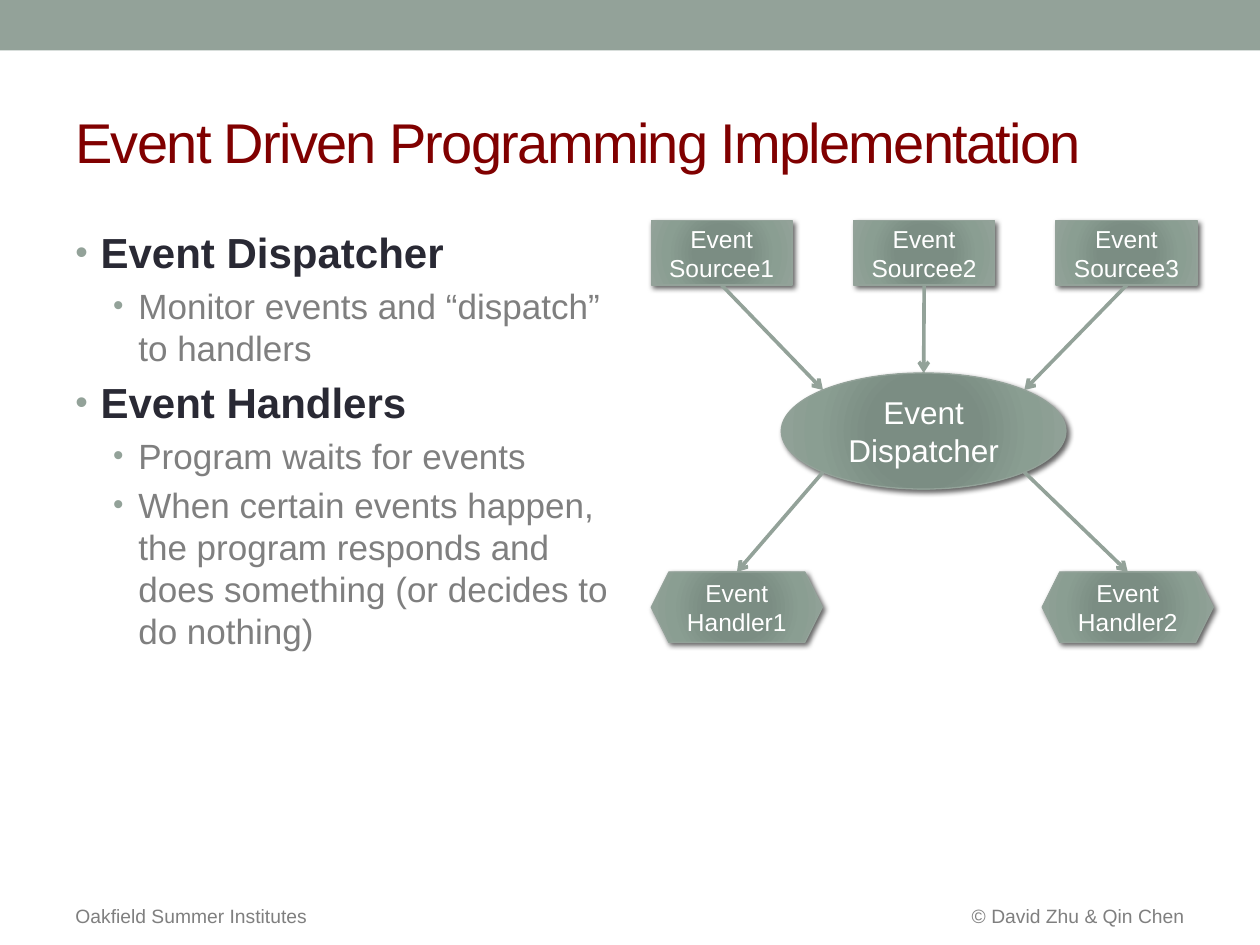
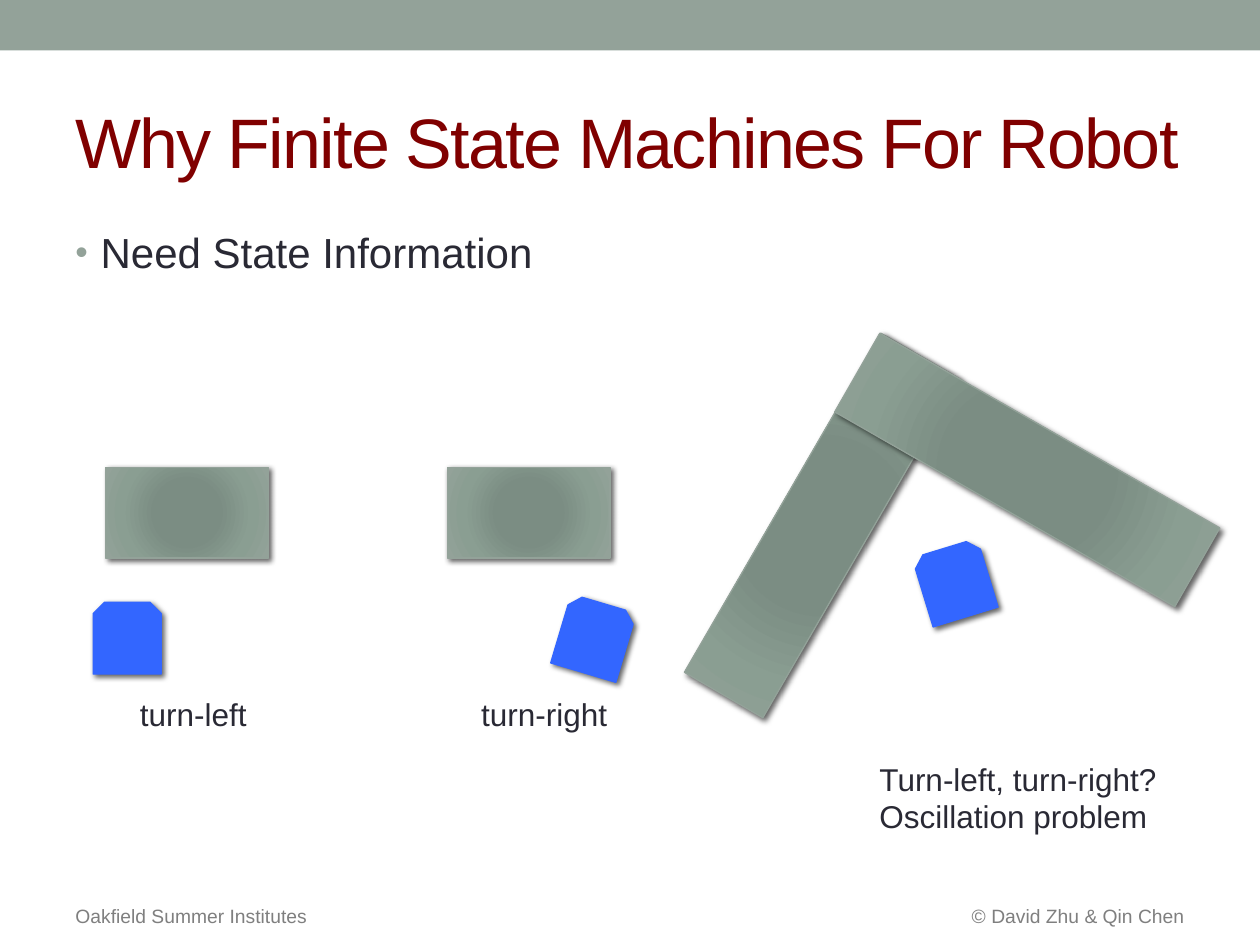
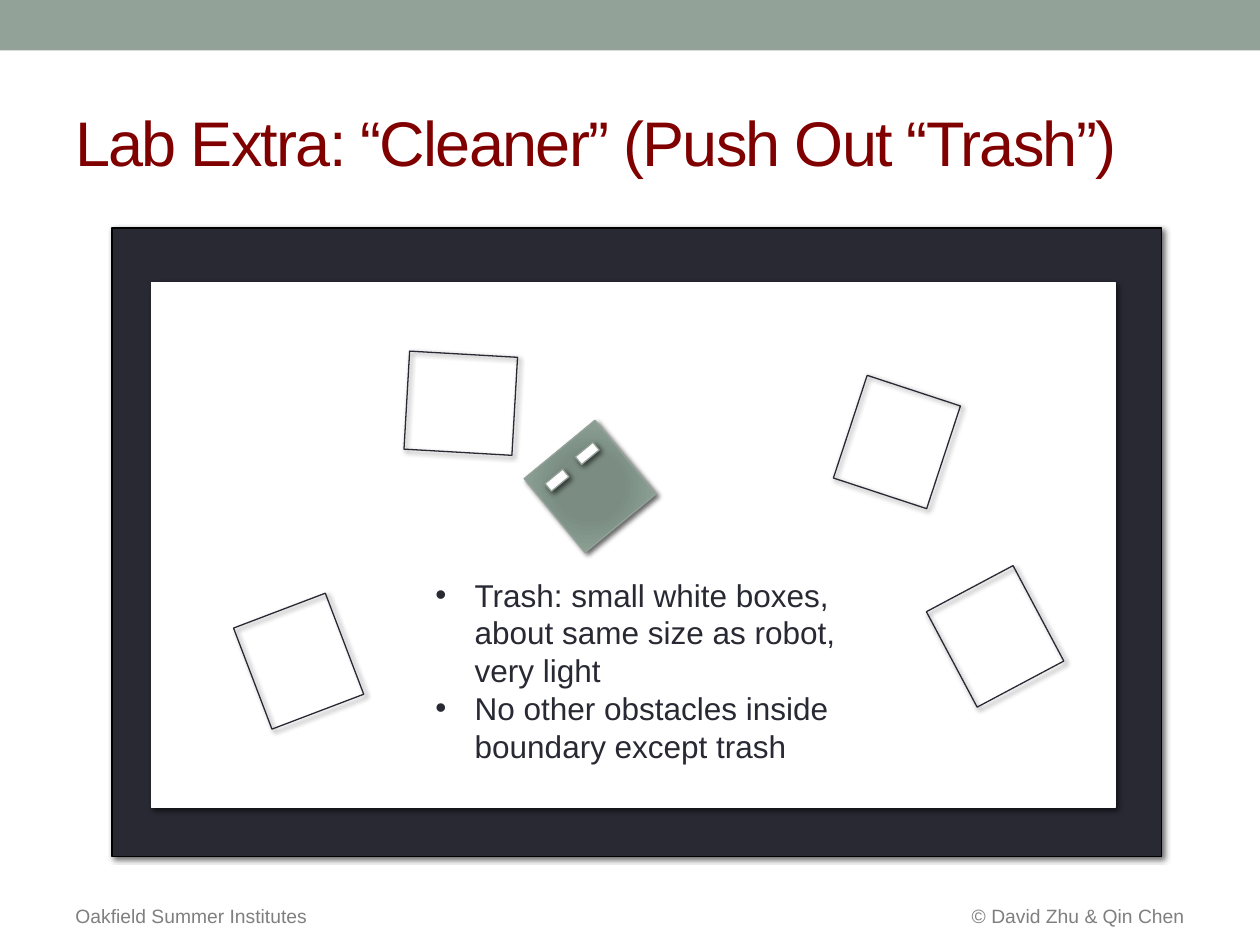
from dataclasses import dataclass
from math import cos, pi

from pptx import Presentation
from pptx.dml.color import RGBColor
from pptx.enum.shapes import MSO_CONNECTOR, MSO_SHAPE
from pptx.enum.text import MSO_ANCHOR, PP_ALIGN
from pptx.oxml import parse_xml
from pptx.oxml.ns import nsdecls, qn
from pptx.util import Cm, Pt

RECT, OVAL = MSO_SHAPE.RECTANGLE, MSO_SHAPE.OVAL
HEX, SNIP = MSO_SHAPE.HEXAGON, MSO_SHAPE.SNIP_2_SAME_RECTANGLE
LINE = MSO_CONNECTOR.STRAIGHT
TOP, MID, LOW = MSO_ANCHOR.TOP, MSO_ANCHOR.MIDDLE, MSO_ANCHOR.BOTTOM
LEFT, MIDX, RIGHT = PP_ALIGN.LEFT, PP_ALIGN.CENTER, PP_ALIGN.RIGHT


@dataclass(frozen=True)
class Theme:
    font: str = "Arial"
    sage: str = "93A299"
    ink: str = "292934"
    gray: str = "7F7F7F"
    white: str = "FFFFFF"
    black: str = "000000"
    wine: str = "800000"
    blue: str = "3366FF"
    stops: tuple = ((0, "7B8E82"), (34, "7B8D83"), (70, "8A9E92"), (100, "93A299"))
    foot: int = 11
    small: int = 14
    note: int = 18
    sub: int = 20
    head: int = 24
    edge: float = 0.75
    arrow: float = 2.08


@dataclass(frozen=True)
class Bullet:
    left: float
    hang: float
    color: str = ""
    gap: int = 0
    scale: int = 100


T = Theme()
OUTER = Bullet(0.51, 0.51, T.sage, 20, 85)
INNER = Bullet(1.27, 0.51, T.sage, 20, 85)
PLAIN = Bullet(0.79, 0.79)
HEAD = dict(size=T.head, color=T.ink, bullet=OUTER)
BOLD = dict(HEAD, bold=True)
SUB = dict(size=T.sub, color=T.gray, bullet=INNER)
NOTE = dict(size=T.note, color=T.ink)


def put(thing, **values):
    for name, value in values.items():
        setattr(thing, name, value)


def xml(tag, attrs="", inner=""):
    return parse_xml(f"<a:{tag} {nsdecls('a')} {attrs}>{inner}</a:{tag}>")


class Deck:
    """Holds the presentation, its style and the current slide."""

    def __init__(self):
        self.prs = Presentation()
        put(self.prs, slide_width=Cm(25.4), slide_height=Cm(19.05))
        self.slide = None

    def start(self, title, size):
        self.slide = self.prs.slides.add_slide(self.prs.slide_layouts[6])
        self.shape(RECT, (0, 0, 25.4, 1.02), T.sage, shade=False)
        self.foot("Oakfield Summer Institutes", "© David Zhu & Qin Chen")
        self.text((1.27, 1.47, 23.42, 2.74), [title], anchor=MID,
                  size=size, color=T.wine, track=-1)

    def foot(self, *words):
        frame = self.slide.shapes.add_table(1, 2, *map(Cm, (1.27, 17.98, 22.86, 0.97)))
        table = frame.table
        put(table, first_row=False, horz_banding=False)
        pad = dict.fromkeys(("margin_left", "margin_top", "margin_right",
                             "margin_bottom"), Cm(0.25))
        for cell, word, align in zip(table.rows[0].cells, words, (LEFT, RIGHT)):
            cell.fill.background()
            put(cell, vertical_anchor=LOW, **pad)
            self.para(cell.text_frame.paragraphs[0], word, T.foot, T.gray, align=align)

    def para(self, para, words, size, color, bold=False, align=LEFT,
             bullet=None, track=0):
        para.alignment = align
        run = para.add_run()
        run.text = words
        put(run.font, name=T.font, size=Pt(size), bold=bold)
        run.font.color.rgb = RGBColor.from_string(color)
        if track:
            run._r.get_or_add_rPr().set("spc", str(track * 100))
        if bullet:
            self.mark(para, bullet)

    def mark(self, para, bullet):
        """Give a paragraph its bullet, indent and gap above."""
        props = para._p.get_or_add_pPr()
        props.set("marL", str(Cm(bullet.left)))
        props.set("indent", str(-Cm(bullet.hang)))
        props.append(xml("spcBef", inner=f'<a:spcPct val="{bullet.gap * 1000}"/>'))
        if bullet.color:
            props.append(xml("buClr", inner=f'<a:srgbClr val="{bullet.color}"/>'))
        props.append(xml("buSzPct", f'val="{bullet.scale * 1000}"'))
        props.append(xml("buFont", f'typeface="{T.font}"'))
        props.append(xml("buChar", 'char="•"'))

    def fill(self, frame, items, **style):
        """Write items, each a text or a (text, own style) pair."""
        for i, item in enumerate(items):
            words, own = (item, {}) if isinstance(item, str) else item
            para = frame.add_paragraph() if i else frame.paragraphs[0]
            self.para(para, words, **{**style, **own})

    def text(self, box, items, anchor=TOP, wrap=True, **style):
        frame = self.slide.shapes.add_textbox(*map(Cm, box)).text_frame
        put(frame, word_wrap=wrap, vertical_anchor=anchor)
        self.fill(frame, items, **style)

    def shape(self, kind, box, color=None, edge=None, turn=0, shade=True):
        """Add a shape; color is a hex value, T.stops or None for hollow."""
        shape = self.slide.shapes.add_shape(kind, *map(Cm, box))
        shape.rotation = turn
        shape.shadow.inherit = False
        props = shape._element.spPr
        if color is T.stops:
            stops = "".join(f'<a:gs pos="{at * 1000}"><a:srgbClr val="{tone}"/></a:gs>'
                            for at, tone in color)
            sides = " ".join(f'{side}="100000"' for side in "ltrb")
            props.find(qn("a:prstGeom")).addnext(xml(
                "gradFill", 'rotWithShape="1"',
                f'<a:gsLst>{stops}</a:gsLst>'
                f'<a:path path="circle"><a:fillToRect {sides}/></a:path>'))
        elif color:
            shape.fill.solid()
            shape.fill.fore_color.rgb = RGBColor.from_string(color)
        else:
            shape.fill.background()
        if edge:
            shape.line.color.rgb = RGBColor.from_string(edge)
            shape.line.width = Pt(T.edge)
        else:
            shape.line.fill.background()
        if shade:
            props.find(qn("a:effectLst")).append(xml(
                "outerShdw",
                f'blurRad="{Pt(3)}" dist="{Pt(2)}" dir="2700000" rotWithShape="0"',
                f'<a:srgbClr val="{T.black}"><a:alpha val="60000"/></a:srgbClr>'))
        return shape

    def block(self, kind, box, items=(), size=T.small, turn=0):
        """Add a shaded sage shape with white centred text."""
        shape = self.shape(kind, box, T.stops, T.sage, turn)
        put(shape.text_frame, word_wrap=True, vertical_anchor=MID)
        self.fill(shape.text_frame, items, size=size, color=T.white, align=MIDX)

    def arrow(self, *ends):
        link = self.slide.shapes.add_connector(LINE, *map(Cm, ends))
        link.line.color.rgb = RGBColor.from_string(T.sage)
        link.line.width = Pt(T.arrow)
        props = link._element.spPr
        props.find(qn("a:ln")).append(xml("tailEnd", 'type="arrow"'))
        props.append(xml("effectLst"))


def events(deck):
    deck.start("Event Driven Programming Implementation", 32)
    deck.text((1.27, 4.45, 11.43, 11.35), [
        ("Event Dispatcher", BOLD),
        ("Monitor events and “dispatch” to handlers", SUB),
        ("Event Handlers", BOLD),
        ("Program waits for events", SUB),
        ("When certain events happen, the program responds and does something "
         "(or decides to do nothing)", SUB)])

    left, top, wide, high, step = 13.13, 4.45, 2.84, 1.3, 4.08
    hub_x, hub_y, hub_w, hub_h = 15.75, 7.52, 5.74, 2.34
    mid_x, mid_y = hub_x + hub_w / 2, hub_y + hub_h / 2
    rim_x, rim_y = hub_w / 2 * cos(pi / 4), hub_h / 2 * cos(pi / 4)

    for i in range(3):
        deck.block(RECT, (left + i * step, top, wide, high), [f"Event Sourcee{i + 1}"])
    deck.block(OVAL, (hub_x, hub_y, hub_w, hub_h), ["Event Dispatcher"], T.note)
    for i, side in enumerate((-1, 0, 1)):
        end = mid_y - rim_y if side else hub_y
        deck.arrow(left + i * step + wide / 2, top + high, mid_x + side * rim_x, end)

    low, hex_w, hex_h = 11.53, 3.45, 1.42
    for i, (x, side) in enumerate(((left, -1), (21.01, 1)), 1):
        deck.block(HEX, (x, low, hex_w, hex_h), ["Event", f"Handler{i}"])
        deck.arrow(mid_x + side * rim_x, mid_y + rim_y, x + hex_w / 2, low)


def states(deck):
    deck.start("Why Finite State Machines For Robot", 40)
    deck.text((1.27, 4.45, 23.34, 3.66), ["Need State Information"], **HEAD)
    for x, y, wide, turn in ((12.62, 9.68, 7.9, 300.1), (16.76, 8.56, 7.9, 29.8),
                             (9.02, 9.42, 3.28, 0), (2.13, 9.42, 3.28, 0)):
        deck.block(RECT, (x, y, wide, 1.83), turn=turn)
    for x, y, turn in ((18.57, 11.02, 343), (11.28, 12.14, 16.6), (1.88, 12.14, 0)):
        deck.shape(SNIP, (x, y, 1.37, 1.45), T.blue, T.blue, turn)
    for box, lines in (
            ((17.48, 15.19, 6.15, 1.8), ["Turn-left, turn-right?", "Oscillation problem"]),
            ((9.45, 13.89, 3.07, 1.02), ["turn-right"]),
            ((2.57, 13.89, 2.69, 1.02), ["turn-left"])):
        deck.text(box, lines, wrap=False, **NOTE)


def cleaner(deck):
    deck.start("Lab Extra: “Cleaner” (Push Out “Trash”)", 36)
    deck.shape(RECT, (2.26, 4.6, 21.16, 12.67), T.ink, T.black)
    deck.shape(RECT, (3.05, 5.69, 19.43, 10.59), T.white, T.white)
    tilt = 320.5
    deck.block(RECT, (10.97, 8.84, 1.85, 1.93), turn=tilt)
    for x, y in ((11, 9.58), (11.61, 9.04)):
        deck.shape(RECT, (x, y, 0.46, 0.2), T.white, T.sage, tilt)
    for x, y, turn in ((8.2, 7.14, 3.3), (4.93, 12.34, 69.2),
                       (16.99, 7.92, 108.2), (18.97, 11.84, 62)):
        deck.shape(RECT, (x, y, 2.18, 1.98), edge=T.ink, turn=turn)
    deck.text((8.53, 11.48, 8.69, 4.88), [
        "Trash: small white boxes, about same size as robot, very light",
        "No other obstacles inside boundary except trash"], bullet=PLAIN, **NOTE)


def main():
    deck = Deck()
    for build in (events, states, cleaner):
        build(deck)
    deck.prs.save("out.pptx")


if __name__ == "__main__":
    main()
